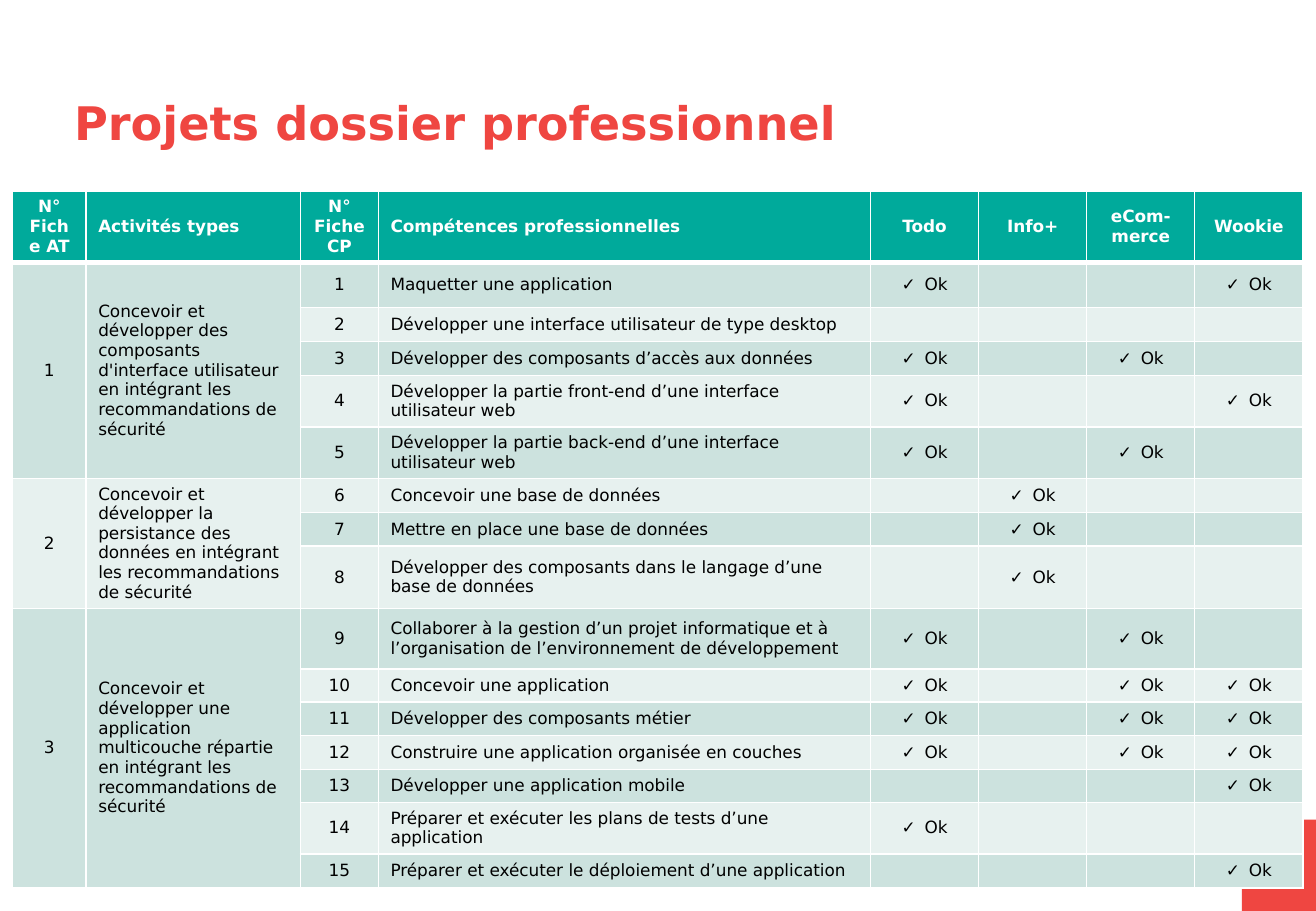
import pptx
import pptx.dml.color
import pptx.enum.shapes
import pptx.enum.text
import pptx.oxml.ns
import pptx.util
from lxml import etree

Cm = pptx.util.Cm
RGBColor = pptx.dml.color.RGBColor
ALIGN = pptx.enum.text.PP_ALIGN
ANCHOR = pptx.enum.text.MSO_ANCHOR
qn = pptx.oxml.ns.qn

RED = RGBColor(0xEF, 0x46, 0x41)
TEAL = RGBColor(0x00, 0xAA, 0x9B)
BAND_DARK = RGBColor(0xCC, 0xE2, 0xDE)
BAND_LIGHT = RGBColor(0xE7, 0xF1, 0xEF)
WHITE = RGBColor(0xFF, 0xFF, 0xFF)
BLACK = RGBColor(0, 0, 0)

FONT = "DejaVu Sans"
TITLE_FORMAT = {"name": FONT, "size": pptx.util.Pt(27.4), "bold": True}
HEADER_FORMAT = {"name": FONT, "size": pptx.util.Pt(10), "bold": True}
BODY_FORMAT = {**HEADER_FORMAT, "bold": False}

PROJECTS = ["Todo", "Info+", "eCom-merce", "Wookie"]
HEADERS = ["N° Fiche AT", "Activités types", "N° Fiche CP",
           "Compétences professionnelles", *PROJECTS]
LEFT_COLUMNS = (1, 3)
COLUMN_WIDTHS = [1.54, 4.48, 1.63, 10.29] + [2.26] * len(PROJECTS)
HEADER_HEIGHT = 1.48

# Each activity: its text, then (skill, row height, indexes of the projects that cover it)
ACTIVITIES = [
    ("Concevoir et développer des composants d'interface utilisateur "
     "en intégrant les recommandations de sécurité", [
         ("Maquetter une application", 0.94, (0, 3)),
         ("Développer une interface utilisateur de type desktop", 0.71, ()),
         ("Développer des composants d’accès aux données", 0.71, (0, 2)),
         ("Développer la partie front-end d’une interface utilisateur web", 1.07, (0, 3)),
         ("Développer la partie back-end d’une interface utilisateur web", 1.07, (0, 2)),
     ]),
    ("Concevoir et développer la persistance des données "
     "en intégrant les recommandations de sécurité", [
         ("Concevoir une base de données", 0.71, (1,)),
         ("Mettre en place une base de données", 0.71, (1,)),
         ("Développer des composants dans le langage d’une base de données", 1.29, (1,)),
     ]),
    ("Concevoir et développer une application multicouche répartie "
     "en intégrant les recommandations de sécurité", [
         ("Collaborer à la gestion d’un projet informatique et à "
          "l’organisation de l’environnement de développement", 1.27, (0, 2)),
         ("Concevoir une application", 0.66, (0, 2, 3)),
         ("Développer des composants métier", 0.71, (0, 2, 3)),
         ("Construire une application organisée en couches", 0.71, (0, 2, 3)),
         ("Développer une application mobile", 0.66, (3,)),
         ("Préparer et exécuter les plans de tests d’une application", 1.07, (0,)),
         ("Préparer et exécuter le déploiement d’une application", 0.71, (3,)),
     ]),
]


def write_text(para, text, formats, color, align):
    para.alignment = align
    span = para.add_run()
    span.text = text
    for name, value in formats.items():
        setattr(span.font, name, value)
    span.font.color.rgb = color


def add_check_bullet(para):
    properties = para._p.get_or_add_pPr()
    properties.set("marL", str(Cm(0.48)))
    properties.set("indent", str(-Cm(0.48)))
    etree.SubElement(properties, qn("a:buFont"), typeface=FONT)
    etree.SubElement(properties, qn("a:buChar"), char="✓")


def add_borders(cell, top, bottom):
    properties = cell._tc.get_or_add_tcPr()
    for side, points in {"L": 1, "R": 1, "T": top, "B": bottom}.items():
        line = etree.SubElement(properties, qn(f"a:ln{side}"), w=str(pptx.util.Pt(points)))
        fill = etree.SubElement(line, qn("a:solidFill"))
        etree.SubElement(fill, qn("a:srgbClr"), val=str(WHITE))


def place_corner(page, left, top, width, height):
    corner = page.shapes.add_shape(pptx.enum.shapes.MSO_SHAPE.RECTANGLE,
                                   Cm(left), Cm(top), Cm(width), Cm(height))
    corner.shadow.inherit = False
    corner.fill.solid()
    corner.fill.fore_color.rgb = RED
    corner.line.fill.background()


def place_title(page, left, top, width, height):
    title = page.shapes.title
    title.left, title.top, title.width, title.height = map(Cm, (left, top, width, height))
    frame = title.text_frame
    frame_format = {"margin_left": 0, "margin_right": 0, "margin_top": Cm(0.05),
                    "margin_bottom": 0, "word_wrap": True,
                    "vertical_anchor": ANCHOR.TOP,
                    "auto_size": pptx.enum.text.MSO_AUTO_SIZE.NONE}
    for name, value in frame_format.items():
        setattr(frame, name, value)
    write_text(frame.paragraphs[0], "Projets dossier professionnel",
               TITLE_FORMAT, RED, ALIGN.LEFT)


def skill_rows():
    """Return the cell texts, row heights and merged (first, last) rows."""
    rows, heights, groups = [HEADERS], [HEADER_HEIGHT], []
    for number, (activity, skills) in enumerate(ACTIVITIES, 1):
        first = len(rows)
        for skill, height, covered in skills:
            lead = [str(number), activity] if len(rows) == first else ["", ""]
            marks = ["Ok" if index in covered else "" for index in range(len(PROJECTS))]
            rows.append(lead + [str(len(rows)), skill] + marks)
            heights.append(height)
        groups.append((first, len(rows) - 1))
    return rows, heights, groups


def place_table(page, left, top):
    rows, heights, groups = skill_rows()
    table = page.shapes.add_table(len(rows), len(HEADERS), Cm(left), Cm(top),
                                  Cm(sum(COLUMN_WIDTHS)), Cm(sum(heights))).table
    for column, width in zip(table.columns, COLUMN_WIDTHS):
        column.width = Cm(width)
    for row_index, (texts, height) in enumerate(zip(rows, heights)):
        table.rows[row_index].height = Cm(height)
        header = row_index == 0
        band = TEAL if header else BAND_DARK if row_index % 2 else BAND_LIGHT
        for column_index, text in enumerate(texts):
            cell = table.cell(row_index, column_index)
            cell.vertical_anchor = ANCHOR.MIDDLE
            add_borders(cell, 3 if row_index == 1 else 1, 3 if header else 1)
            cell.fill.solid()
            cell.fill.fore_color.rgb = band
            para = cell.text_frame.paragraphs[0]
            if not text:
                # Small end mark, so that empty cells do not stretch the row
                etree.SubElement(para._p, qn("a:endParaRPr"), sz="1000")
                continue
            if text == "Ok":
                add_check_bullet(para)
            write_text(para, text, HEADER_FORMAT if header else BODY_FORMAT,
                       WHITE if header else BLACK,
                       ALIGN.LEFT if column_index in LEFT_COLUMNS else ALIGN.CENTER)
    for first, last in groups:
        for column_index in (0, 1):
            table.cell(first, column_index).merge(table.cell(last, column_index))


def main():
    deck = pptx.Presentation()
    deck.slide_width, deck.slide_height = Cm(27.51), Cm(19.05)
    page = deck.slides.add_slide(deck.slide_layouts[0])
    subtitle = page.placeholders[1].element
    subtitle.getparent().remove(subtitle)

    place_corner(page, 25.96, 17.14, 1.55, 1.91)
    place_title(page, 1.55, 1.93, 21, 1.22)
    place_table(page, 0.26, 4)
    deck.save("out.pptx")


if __name__ == "__main__":
    main()
